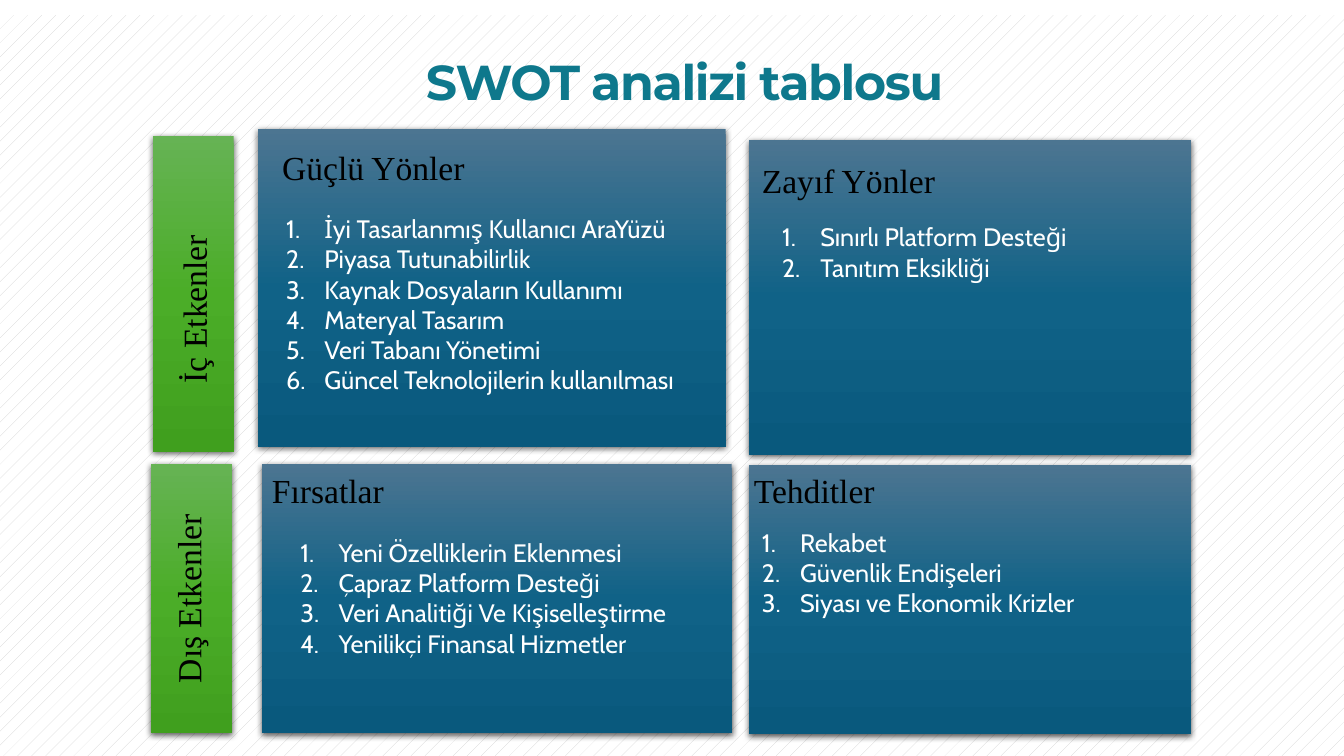
from dataclasses import dataclass

from lxml.etree import SubElement
from pptx import Presentation
from pptx.dml.color import RGBColor
from pptx.enum.dml import MSO_PATTERN as Pattern
from pptx.enum.shapes import MSO_SHAPE as Shape
from pptx.enum.text import MSO_ANCHOR as Anchor, PP_ALIGN as Align
from pptx.oxml.ns import qn
from pptx.util import Pt

WIDTH, HEIGHT = 960, 540
BLUE = ("4C7591", "106287", "09597D")
GREEN = ("66B354", "4BAD28", "409F1E")
HEADING = {"name": "Times New Roman", "size": Pt(24)}
ITEM = {"name": "Cabin", "size": Pt(18)}
TITLE = {"name": "Montserrat", "size": Pt(35), "bold": True}
INDENT = 27.36
BAR_WIDTH = 57.6
LABEL_SIZE = (151.2, 36)


@dataclass
class Bar:
    label: str
    left: float
    top: float
    height: float
    label_center: float
    label_bottom: float


@dataclass
class Panel:
    heading: str
    box: tuple[float, float, float, float]
    heading_at: tuple[float, float]
    list_at: tuple[float, float]
    items: list[str]


BARS = [
    Bar("İç Etkenler", 109.4, 97.2, 225.4, 138.2, 280.8),
    Bar("Dış Etkenler", 108, 331.2, 192.2, 134.3, 495),
]
PANELS = [
    Panel("Güçlü Yönler", (184.3, 92.2, 334.1, 226.8), (194.4, 101.5), (197.3, 149), [
        "İyi Tasarlanmış Kullanıcı AraYüzü",
        "Piyasa Tutunabilirlik",
        "Kaynak Dosyaların Kullanımı",
        "Materyal Tasarım",
        "Veri Tabanı Yönetimi",
        "Güncel Teknolojilerin kullanılması",
    ]),
    Panel("Zayıf Yönler", (535, 100.1, 316.1, 224.6), (537.1, 110.9), (551.5, 154.8), [
        "Sınırlı Platform Desteği",
        "Tanıtım Eksikliği",
    ]),
    Panel("Fırsatlar", (187.2, 331.2, 335.5, 192.2), (187.2, 331.9), (207.4, 380.2), [
        "Yeni Özelliklerin Eklenmesi",
        "Çapraz Platform Desteği",
        "Veri Analitiği Ve Kişiselleştirme",
        "Yenilikçi Finansal Hizmetler",
    ]),
    Panel("Tehditler", (535, 331.9, 316.1, 192.2), (531.4, 331.9), (537.1, 373), [
        "Rekabet",
        "Güvenlik Endişeleri",
        "Siyası ve Ekonomik Krizler",
    ]),
]


def rgb(color: str) -> RGBColor:
    return RGBColor.from_string(color)


def add_rect(s, left: float, top: float, width: float, height: float):
    sp = s.shapes.add_shape(Shape.RECTANGLE, Pt(left), Pt(top), Pt(width), Pt(height))
    sp.line.fill.background()
    sp.shadow.inherit = False
    return sp


def add_background(s) -> None:
    top = 10.8
    sp = add_rect(s, 0, top, WIDTH, HEIGHT - top)
    sp.fill.patterned()
    sp.fill.pattern = Pattern.PERCENT_5
    sp.fill.fore_color.rgb = rgb("D1D1D1")
    sp.fill.back_color.rgb = rgb("FFFFFF")


def add_block(s, box: tuple[float, float, float, float], colors: tuple[str, ...]) -> None:
    sp = add_rect(s, *box)
    sp.fill.gradient()
    sp.fill.gradient_angle = 270
    props = sp._element.spPr
    stops = props.find(qn("a:gradFill")).find(qn("a:gsLst"))
    for stop in list(stops):
        stops.remove(stop)
    for i, color in enumerate(colors):
        stop = SubElement(stops, qn("a:gs"), pos=str(i * 50000))
        SubElement(stop, qn("a:srgbClr"), val=color)
    shadow = SubElement(
        props.find(qn("a:effectLst")), qn("a:outerShdw"),
        blurRad=str(Pt(4.5)), dist=str(Pt(1.5)), dir="5400000", rotWithShape="0",
    )
    black = SubElement(shadow, qn("a:srgbClr"), val="000000")
    SubElement(black, qn("a:alpha"), val="63000")


def add_text(s, box: tuple[float, float, float, float], lines: list[str],
             font: dict, color: str, numbered: bool = False):
    sp = s.shapes.add_textbox(*map(Pt, box))
    tf = sp.text_frame
    tf.word_wrap = True
    tf.vertical_anchor = Anchor.TOP
    for i, line in enumerate(lines):
        p = tf.add_paragraph() if i else tf.paragraphs[0]
        r = p.add_run()
        r.text = line
        for key, value in font.items():
            setattr(r.font, key, value)
        r.font.color.rgb = rgb(color)
        if numbered:
            props = p._p.get_or_add_pPr()
            props.set("marL", str(Pt(INDENT)))
            props.set("indent", str(-Pt(INDENT)))
            SubElement(props, qn("a:buAutoNum"), type="arabicPeriod")
    return sp


def add_title(s) -> None:
    sp = add_text(s, (273.6, 33.1, 430.6, 49.7), ["SWOT analizi tablosu"], TITLE, "0E788C")
    p = sp.text_frame.paragraphs[0]
    p.alignment = Align.CENTER
    p.runs[0].font._element.set("spc", "-100")


def add_bar(s, bar: Bar) -> None:
    add_block(s, (bar.left, bar.top, BAR_WIDTH, bar.height), GREEN)
    width, height = LABEL_SIZE
    left = bar.label_center - width / 2
    top = bar.label_bottom - (width + height) / 2
    sp = add_text(s, (left, top, width, height), [bar.label], HEADING, "000000")
    sp.rotation = 270


def add_panel(s, panel: Panel) -> None:
    add_block(s, panel.box, BLUE)
    add_text(s, (*panel.heading_at, 151.2, 36), [panel.heading], HEADING, "000000")
    list_height = 7.2 + 21.6 * len(panel.items)
    add_text(s, (*panel.list_at, 306, list_height), panel.items, ITEM, "FFFFFF", numbered=True)


def main() -> None:
    prs = Presentation()
    prs.slide_width, prs.slide_height = Pt(WIDTH), Pt(HEIGHT)
    s = prs.slides.add_slide(prs.slide_layouts[6])
    add_background(s)
    add_title(s)
    for bar in BARS:
        add_bar(s, bar)
    for panel in PANELS:
        add_panel(s, panel)
    prs.save("out.pptx")


if __name__ == "__main__":
    main()
